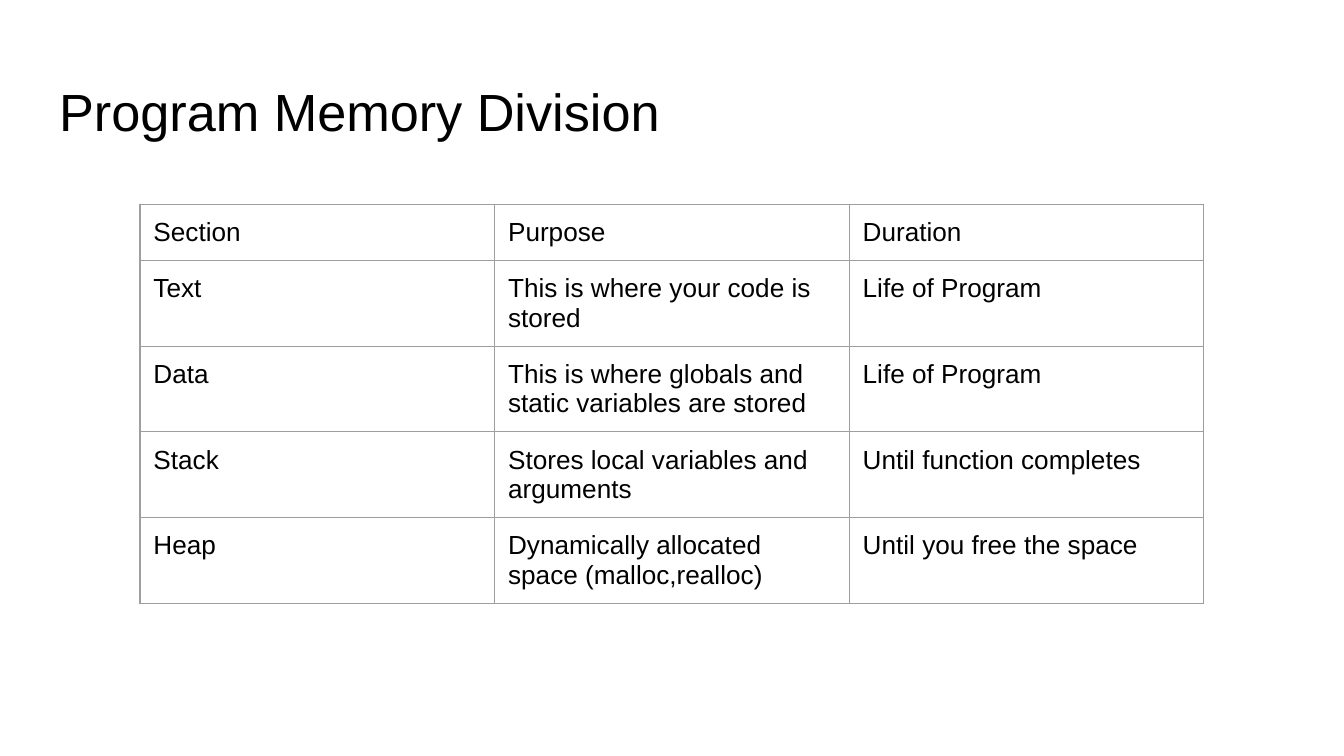
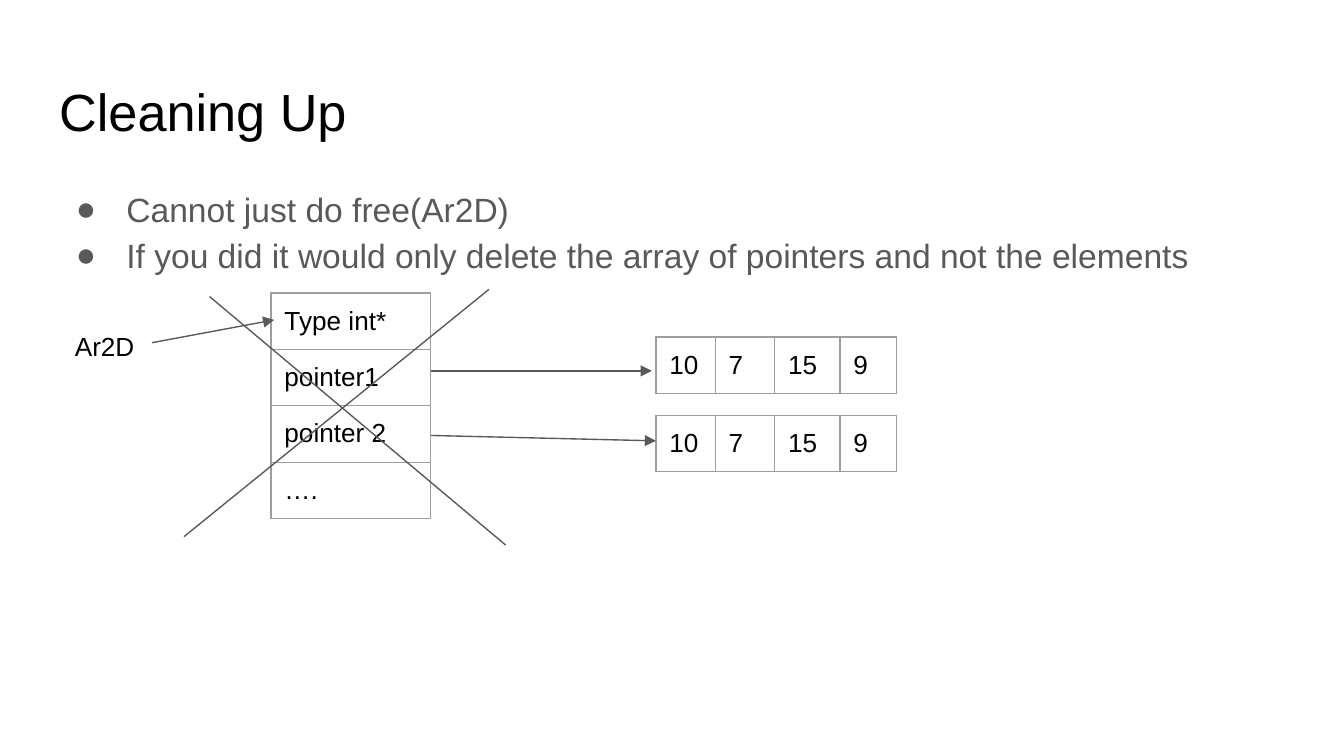
from lxml import etree
from pptx import Presentation
from pptx.dml.color import RGBColor
from pptx.enum.shapes import MSO_CONNECTOR
from pptx.enum.text import MSO_ANCHOR, MSO_AUTO_SIZE, PP_ALIGN
from pptx.oxml.ns import qn
from pptx.util import Pt

STRAIGHT = MSO_CONNECTOR.STRAIGHT
TOP = MSO_ANCHOR.TOP
LEFT = PP_ALIGN.LEFT
NO_AUTOFIT = MSO_AUTO_SIZE.NONE

BLACK = RGBColor(0x00, 0x00, 0x00)
GRAY = RGBColor(0x59, 0x59, 0x59)
BORDER = RGBColor(0x9E, 0x9E, 0x9E)

FONT = "Arial"
TITLE_SIZE, BODY_SIZE, TEXT_SIZE = 28, 18, 14
INSET = 7.2
LINE_WIDTH = 0.75
ROW_HEIGHT = 30.2
MARGIN, CONTENT_WIDTH = 24.5, 671

TITLE_ONLY, TITLE_AND_BODY = 5, 1

MEMORY_SECTIONS = [
    ["Section", "Purpose", "Duration"],
    ["Text", "This is where your code is stored", "Life of Program"],
    ["Data", "This is where globals and static variables are stored", "Life of Program"],
    ["Stack", "Stores local variables and arguments", "Until function completes"],
    ["Heap", "Dynamically allocated space (malloc,realloc)", "Until you free the space"],
]
POINTERS = [["Type int*"], ["pointer1"], ["pointer 2"], ["…."]]
ELEMENTS = [["10", "7", "15", "9"]]
ELEMENT_WIDTHS = [31.8, 31.8, 35, 30.2]


def place(shape, left, top, width, height):
    shape.left, shape.top = Pt(left), Pt(top)
    shape.width, shape.height = Pt(width), Pt(height)


def set_frame(text_frame):
    """Give a text frame the shared insets, wrapping and top anchor."""
    text_frame.word_wrap = True
    text_frame.auto_size = NO_AUTOFIT
    text_frame.vertical_anchor = TOP
    text_frame.margin_left = text_frame.margin_right = Pt(INSET)
    text_frame.margin_top = text_frame.margin_bottom = Pt(INSET)


def add_run(paragraph, text, size=TEXT_SIZE, color=BLACK):
    paragraph.alignment = LEFT
    paragraph.space_before = Pt(0)
    run = paragraph.add_run()
    run.text = text
    run.font.name = FONT
    run.font.size = Pt(size)
    run.font.color.rgb = color


def add_titled_slide(presentation, layout, title):
    slide = presentation.slides.add_slide(presentation.slide_layouts[layout])
    shape = slide.shapes.title
    place(shape, MARGIN, 35.3, CONTENT_WIDTH, 45.4)
    set_frame(shape.text_frame)
    add_run(shape.text_frame.paragraphs[0], title, TITLE_SIZE)
    return slide


def set_bullet(paragraph, character="●"):
    properties = paragraph._p.get_or_add_pPr()
    properties.set("marL", str(Pt(36)))
    properties.set("indent", str(-Pt(27)))
    color = etree.SubElement(properties, qn("a:buClr"))
    etree.SubElement(color, qn("a:srgbClr"), val=str(GRAY))
    etree.SubElement(properties, qn("a:buFont"), typeface=FONT)
    etree.SubElement(properties, qn("a:buChar"), char=character)


def fill_body(slide, items):
    body = slide.placeholders[1]
    place(body, MARGIN, 90.7, CONTENT_WIDTH, 269.3)
    text_frame = body.text_frame
    set_frame(text_frame)
    for index, item in enumerate(items):
        paragraph = text_frame.add_paragraph() if index else text_frame.paragraphs[0]
        add_run(paragraph, item, BODY_SIZE, GRAY)
        paragraph.line_spacing = 1.15
        set_bullet(paragraph)


def set_borders(cell):
    properties = cell._tc.get_or_add_tcPr()
    for side in ("lnL", "lnR", "lnT", "lnB"):
        line = etree.SubElement(properties, qn(f"a:{side}"), w=str(Pt(LINE_WIDTH)))
        fill = etree.SubElement(line, qn("a:solidFill"))
        etree.SubElement(fill, qn("a:srgbClr"), val=str(BORDER))


def add_grid(slide, rows, left, top, widths):
    """Add a plain bordered table with one row of cells per list."""
    table = slide.shapes.add_table(
        len(rows), len(widths), Pt(left), Pt(top),
        Pt(sum(widths)), Pt(ROW_HEIGHT * len(rows))).table
    table.first_row = table.horz_banding = False
    for column, width in zip(table.columns, widths):
        column.width = Pt(width)
    for row, texts in zip(table.rows, rows):
        row.height = Pt(ROW_HEIGHT)
        for cell, text in zip(row.cells, texts):
            cell.margin_left = cell.margin_right = Pt(INSET)
            cell.margin_top = cell.margin_bottom = Pt(INSET)
            set_borders(cell)
            cell.fill.background()
            add_run(cell.text_frame.paragraphs[0], text)


def add_label(slide, text, left, top, width, height):
    box = slide.shapes.add_textbox(Pt(left), Pt(top), Pt(width), Pt(height))
    set_frame(box.text_frame)
    add_run(box.text_frame.paragraphs[0], text)


def add_line(slide, start, end, arrow=False):
    connector = slide.shapes.add_connector(STRAIGHT, *map(Pt, start + end))
    connector.line.color.rgb = GRAY
    connector.line.width = Pt(LINE_WIDTH)
    properties = connector._element.spPr
    if arrow:
        line = properties.find(qn("a:ln"))
        etree.SubElement(line, qn("a:tailEnd"), type="triangle", w="med", len="med")
    etree.SubElement(properties, qn("a:effectLst"))


def build_memory_slide(presentation):
    slide = add_titled_slide(presentation, TITLE_ONLY, "Program Memory Division")
    add_grid(slide, MEMORY_SECTIONS, 75, 109.4, [190] * 3)


def build_cleanup_slide(presentation):
    slide = add_titled_slide(presentation, TITLE_AND_BODY, "Cleaning Up")
    fill_body(slide, [
        "Cannot just do free(Ar2D)",
        "If you did it would only delete the array of pointers and not the elements",
    ])
    add_grid(slide, POINTERS, 145.2, 157, [85.3])
    for top in (180.6, 222.6):
        add_grid(slide, ELEMENTS, 351.4, top, ELEMENT_WIDTHS)
    add_label(slide, "Ar2D", 33, 170, 75.6, 24.5)

    pointer_arrows = [
        ((231, 198.7), (349.2, 198.7)),
        ((231, 233.3), (351.4, 236.2)),
        ((81.4, 183.6), (146.9, 171.4)),
    ]
    for start, end in pointer_arrows:
        add_line(slide, start, end, arrow=True)
    cross_strokes = [
        ((262, 155), (98.6, 287.5)),
        ((112.3, 158.9), (270.9, 292)),
    ]
    for start, end in cross_strokes:
        add_line(slide, start, end)


def main():
    presentation = Presentation()
    presentation.slide_width = Pt(720)
    presentation.slide_height = Pt(405)
    build_memory_slide(presentation)
    build_cleanup_slide(presentation)
    presentation.save("out.pptx")


if __name__ == "__main__":
    main()
